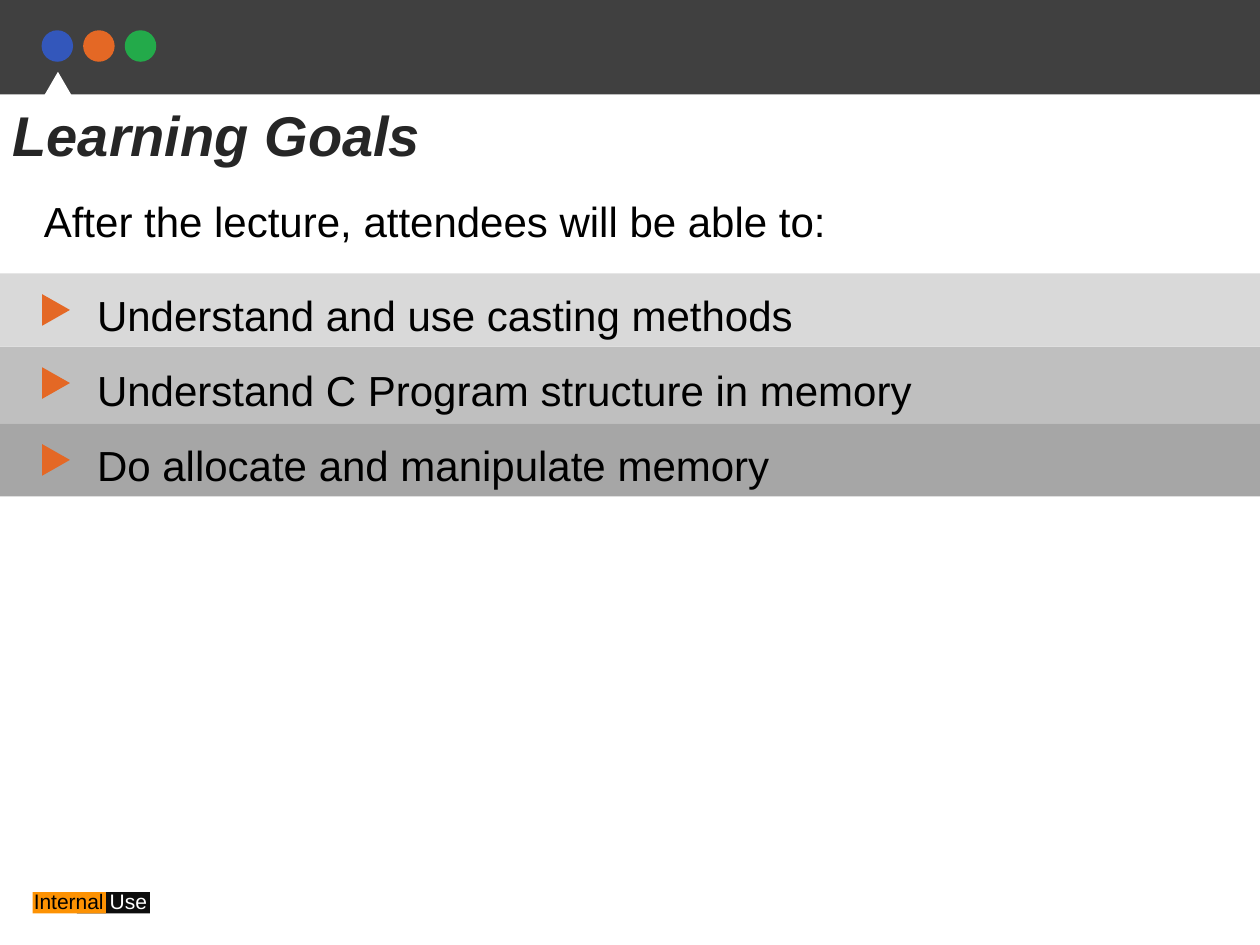
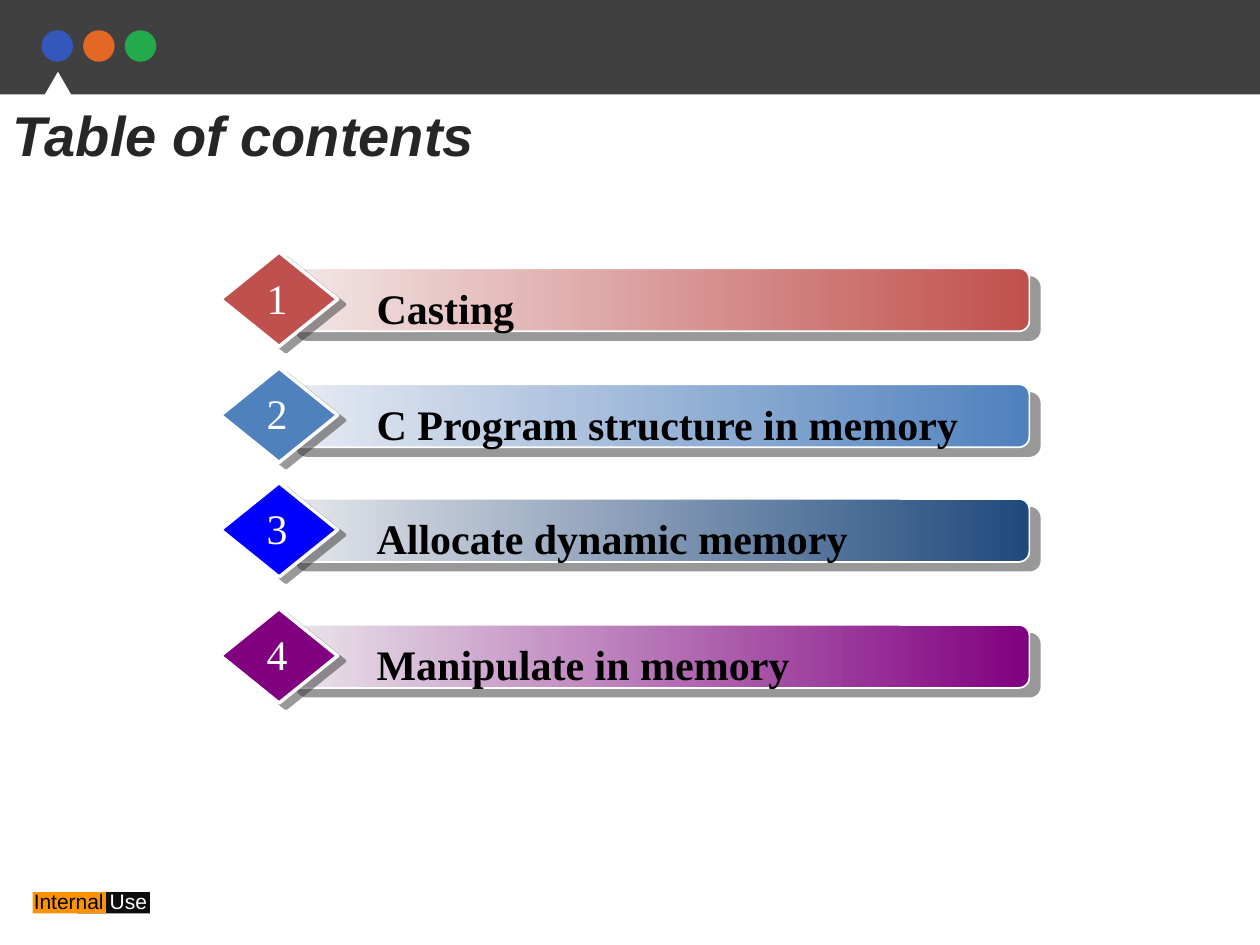
from lxml import etree
from pptx import Presentation
from pptx.dml.color import RGBColor
from pptx.enum.shapes import MSO_SHAPE
from pptx.enum.text import MSO_ANCHOR, MSO_AUTO_SIZE, PP_ALIGN
from pptx.oxml.ns import qn
from pptx.util import Inches, Pt

RECT, OVAL = MSO_SHAPE.RECTANGLE, MSO_SHAPE.OVAL
TRIANGLE, DIAMOND = MSO_SHAPE.ISOSCELES_TRIANGLE, MSO_SHAPE.DIAMOND
ROUNDED = MSO_SHAPE.ROUNDED_RECTANGLE
TOP, CENTER = MSO_ANCHOR.TOP, PP_ALIGN.CENTER
LEFT, NO_FIT = PP_ALIGN.LEFT, MSO_AUTO_SIZE.NONE

SANS, SERIF = "Arial", "Times New Roman"
COLORS = {
    "banner": "404040", "title": "262626", "black": "000000", "white": "FFFFFF",
    "dot_blue": "3357BB", "orange": "E46825", "dot_green": "23AA4A",
    "tag_orange": "FD9203", "tag_black": "0D0D0D",
    "strip_light": "D9D9D9", "strip_mid": "BFBFBF", "strip_dark": "A6A6A6",
    "shadow": "333333",
    "red": "C0504D", "red_pale": "F3E8E8",
    "blue": "4F81BD", "blue_pale": "E8EBF3",
    "navy": "1F497D", "navy_pale": "E6E7EB", "bright_blue": "0000FF",
    "purple": "800080", "purple_pale": "EBE6EB",
}

# Strip top, height and colour
STRIPS = [(2.17, 0.58, "strip_light"), (2.75, 0.61, "strip_mid"),
          (3.36, 0.58, "strip_dark")]
GOALS = ["Understand and use casting methods",
         "Understand C Program structure in memory",
         "Do allocate and manipulate memory"]
# Diamond top, topic, diamond colour, bar colours from left to right
TOPICS = [
    (2.00, "Casting", "red", ("red_pale", "red")),
    (2.92, "C Program structure in memory", "blue", ("blue_pale", "blue")),
    (3.83, "Allocate dynamic memory", "bright_blue", ("navy_pale", "navy")),
    (4.83, "Manipulate in memory", "purple", ("purple_pale", "purple")),
]


def rgb(name):
    return RGBColor.from_string(COLORS[name])


def place(sp, box):
    sp.left, sp.top, sp.width, sp.height = (Inches(v) for v in box)


def style(p, size, color="black", font=SANS, bold=False, italic=False):
    for r in p.runs:
        r.font.name, r.font.size = font, Pt(size)
        r.font.bold, r.font.italic = bold, italic
        r.font.color.rgb = rgb(color)


def add_shape(shapes, kind, box, color=None, line=None):
    """Flat shape, with a white outline when a line width is given."""
    sp = shapes.add_shape(kind, *(Inches(v) for v in box))
    sp.shadow.inherit = False
    if color:
        sp.fill.solid()
        sp.fill.fore_color.rgb = rgb(color)
    if line:
        sp.line.color.rgb = rgb("white")
        sp.line.width = Pt(line)
    else:
        sp.line.fill.background()
    return sp


def add_text(shapes, box, text, size, wrap=True, **look):
    tb = shapes.add_textbox(*(Inches(v) for v in box))
    tb.text_frame.word_wrap = wrap
    p = tb.text_frame.paragraphs[0]
    p.text = text
    style(p, size, **look)
    return p


def cast_shadow(sp, distance, angle):
    effects = sp._element.spPr.find(qn("a:effectLst"))
    shadow = etree.SubElement(effects, qn("a:outerShdw"), dist=str(Pt(distance)),
                              dir=str(angle * 60000), algn="ctr", rotWithShape="0")
    color = etree.SubElement(shadow, qn("a:srgbClr"), val=COLORS["shadow"])
    etree.SubElement(color, qn("a:alpha"), val="50000")


def fill_gradient(sp, names):
    sp.fill.gradient()
    sp.fill.gradient_angle = 0
    for position, (stop, name) in enumerate(zip(sp.fill.gradient_stops, names)):
        stop.position = position
        stop.color.rgb = rgb(name)


def bring_to_front(sp):
    sp._element.getparent().append(sp._element)


def add_frame(s, title):
    """Banner, footer tag and title that every slide carries."""
    add_shape(s.shapes, RECT, (0, 0, 10, 0.75), "banner")
    for i, color in enumerate(["dot_blue", "orange", "dot_green"]):
        add_shape(s.shapes, OVAL, (0.33 * (i + 1), 0.24, 0.25, 0.25), color)
    add_shape(s.shapes, TRIANGLE, (0.17, 0.57, 0.58, 0.5), "white")

    # Footer tag
    tag = s.shapes.add_group_shape().shapes
    add_shape(tag, RECT, (0.61, 7.08, 0.58, 0.17), "tag_black")
    add_shape(tag, RECT, (0.26, 7.08, 0.58, 0.17), "tag_orange")
    p = add_text(tag, (0.17, 7, 1.5, 0.3), "Internal ", 12)
    p.add_run().text = "Use"
    style(p, 12)
    p.runs[1].font.color.rgb = rgb("white")

    # Title
    sp = s.shapes.title
    place(sp, (0, 0.75, 4.67, 0.64))
    tf = sp.text_frame
    tf.text = title
    tf.vertical_anchor, tf.auto_size = TOP, NO_FIT
    tf.paragraphs[0].alignment = LEFT
    style(tf.paragraphs[0], 32, "title", bold=True, italic=True)
    bring_to_front(sp)


def add_goal_list(s):
    for top, height, color in STRIPS:
        add_shape(s.shapes, RECT, (0, top, 10, height), color)
        marker = add_shape(s.shapes, TRIANGLE, (0.32, top + 0.18, 0.25, 0.22), "orange")
        marker.rotation = 90

    body = s.placeholders[1]
    place(body, (0.67, 2.25, 9.33, 1.7))
    tf = body.text_frame
    tf.text = "\n".join(GOALS)
    tf.vertical_anchor, tf.auto_size = TOP, NO_FIT
    for p in tf.paragraphs:
        p.space_before, p.space_after = Pt(0), Pt(14)
        pPr = p._p.get_or_add_pPr()
        pPr.set("marL", "0")
        pPr.set("indent", "0")
        etree.SubElement(pPr, qn("a:buNone"))
        style(p, 24)
    bring_to_front(body)


def add_topic(s, number, top, topic, color, bar_colors):
    group = s.shapes.add_group_shape().shapes
    bar = add_shape(group, ROUNDED, (2.27, top + 0.13, 5.9, 0.5), line=1)
    fill_gradient(bar, bar_colors)
    cast_shadow(bar, 7.8, 40)
    diamond = add_shape(group, DIAMOND, (1.75, top, 0.93, 0.75), color, line=2)
    cast_shadow(diamond, 5, 37)
    add_text(group, (2.89, top + 0.19, 5.28, 0.51), topic, 24, font=SERIF, bold=True)
    p = add_text(group, (1.96, top + 0.11, 0.48, 0.5), str(number), 24,
                 wrap=False, font=SERIF, color="white")
    p.alignment = CENTER


def main():
    prs = Presentation()
    prs.slide_width, prs.slide_height = Inches(10), Inches(7.5)

    # Learning goals
    s = prs.slides.add_slide(prs.slide_layouts[1])
    add_frame(s, "Learning Goals")
    add_text(s.shapes, (0.25, 1.5, 7, 0.5),
             "After the lecture, attendees will be able to:", 24)
    add_goal_list(s)

    # Table of contents
    s = prs.slides.add_slide(prs.slide_layouts[5])
    add_frame(s, "Table of contents")
    for number, topic in enumerate(TOPICS, 1):
        add_topic(s, number, *topic)

    prs.save("out.pptx")


if __name__ == "__main__":
    main()
